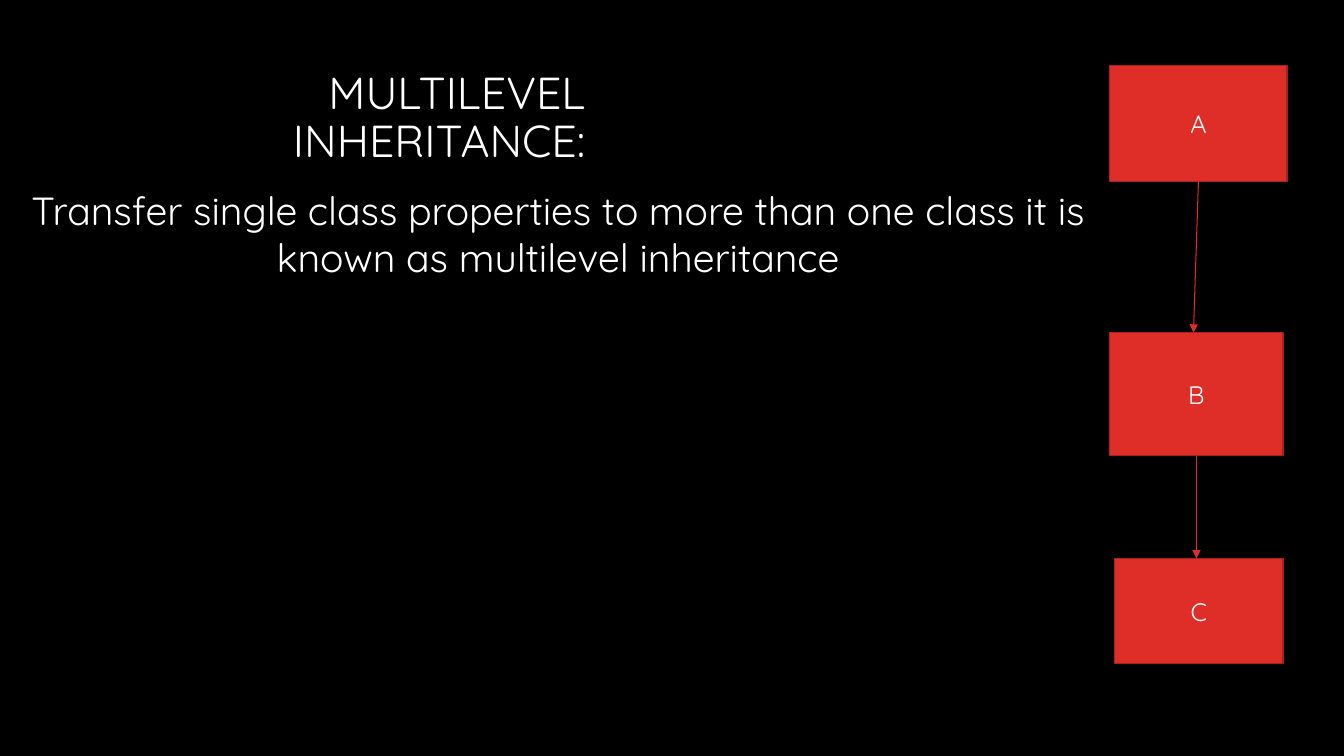
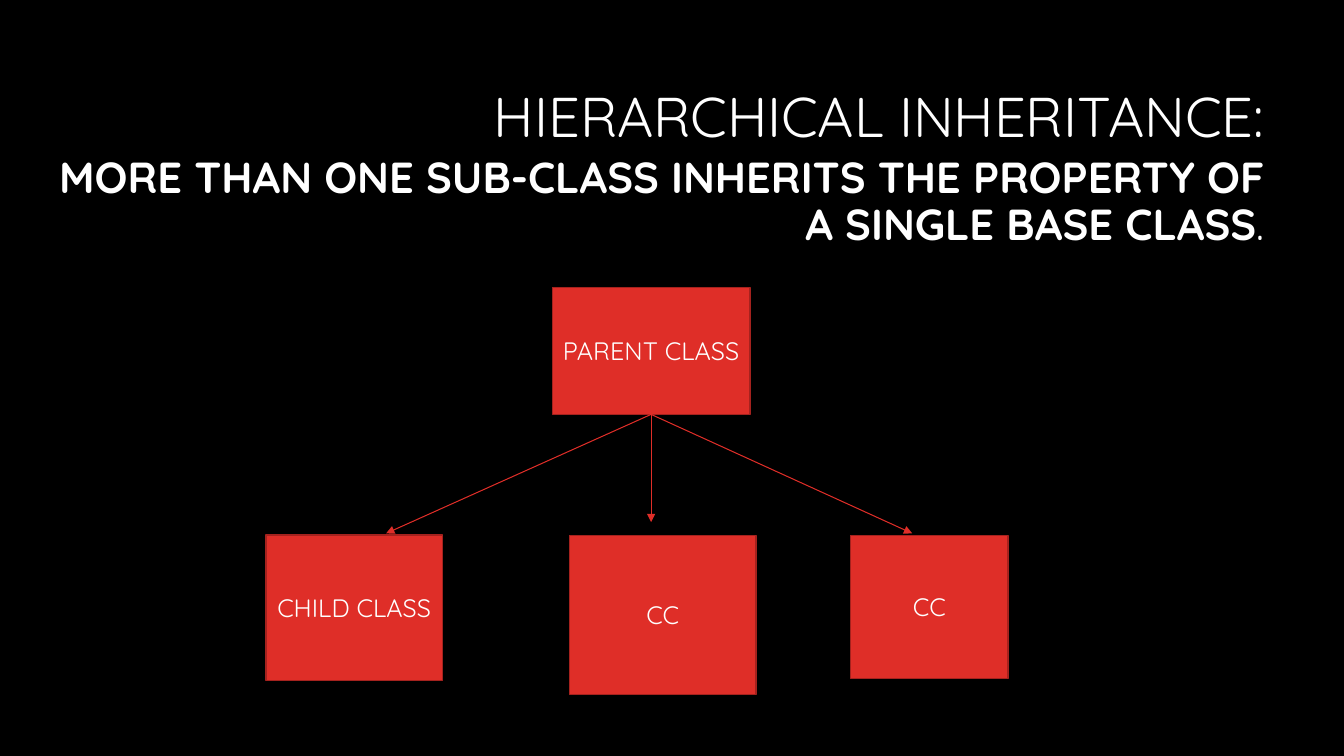
"""Build two slides on multilevel and hierarchical inheritance."""
from dataclasses import dataclass

from lxml.etree import SubElement
from pptx import Presentation
from pptx.dml.color import RGBColor
from pptx.enum.shapes import MSO_CONNECTOR, MSO_SHAPE
from pptx.enum.text import MSO_ANCHOR, PP_ALIGN
from pptx.oxml.ns import qn
from pptx.util import Pt


@dataclass(frozen=True)
class Theme:
    font: str = "Quicksand"
    background: RGBColor = RGBColor(0x00, 0x00, 0x00)
    text: RGBColor = RGBColor(0xFF, 0xFF, 0xFF)
    accent: RGBColor = RGBColor(0xDF, 0x2E, 0x28)
    outline: RGBColor = RGBColor(0xA5, 0x22, 0x1E)
    heading: int = 40
    title: int = 32
    subtitle: int = 31
    body: int = 28
    label: int = 18
    title_spacing: float = 0.9


theme = Theme()


def write(sp, paragraphs, align, anchor=MSO_ANCHOR.MIDDLE, spacing=None, gap=0):
    """Fill a shape with paragraphs, each a list of (text, size, bold) runs."""
    tf = sp.text_frame
    tf.word_wrap = True
    tf.vertical_anchor = anchor
    for i, runs in enumerate(paragraphs):
        p = tf.add_paragraph() if i else tf.paragraphs[0]
        p.alignment = align
        p.line_spacing = spacing
        p.space_before = Pt(gap if i else 0)
        for text, size, bold in runs:
            r = p.add_run()
            r.text = text
            r.font.name = theme.font
            r.font.size = Pt(size)
            r.font.bold = bold
            r.font.color.rgb = theme.text


def draw_classes(s, boxes, arrows):
    """Draw the class boxes, then arrows from a box's bottom to a point."""
    shapes = []
    for label, *frame in boxes:
        sp = s.shapes.add_shape(MSO_SHAPE.RECTANGLE, *map(Pt, frame))
        sp.shadow.inherit = False
        sp.fill.solid()
        sp.fill.fore_color.rgb = theme.accent
        sp.line.color.rgb = theme.outline
        sp.line.width = Pt(1)
        write(sp, [[(label, theme.label, False)]], PP_ALIGN.CENTER)
        shapes.append(sp)
    for source, x, y in arrows:
        line = s.shapes.add_connector(MSO_CONNECTOR.STRAIGHT, 0, 0, Pt(x), Pt(y))
        line.begin_connect(shapes[source], 2)
        line.line.color.rgb = theme.accent
        line.line.width = Pt(0.75)
        SubElement(line.line._get_or_add_ln(), qn("a:tailEnd"), type="triangle")
        SubElement(line._element.spPr, qn("a:effectLst"))


prs = Presentation()
prs.slide_width, prs.slide_height = Pt(960), Pt(540)
fill = prs.slide_master.background.fill
fill.solid()
fill.fore_color.rgb = theme.background
blank = prs.slide_layouts[6]

s = prs.slides.add_slide(blank)
title = s.shapes.add_textbox(Pt(10.8), Pt(59), Pt(414.5), Pt(52))
write(title, [[("MULTILEVEL INHERITANCE:", theme.title, False)]],
      PP_ALIGN.RIGHT, spacing=theme.title_spacing)
draw_classes(
    s,
    [("A", 792.7, 46.8, 126.7, 82.8),
     ("B", 792.7, 237.6, 123.8, 88),
     ("C", 796.3, 399, 120.2, 75)],
    [(0, 852.5, 237.6), (1, 854.6, 399)],
)
body = s.shapes.add_textbox(Pt(10.8), Pt(129.6), Pt(775.5), Pt(75))
write(body, [[("Transfer single class properties to more than one class "
               "it is known as multilevel inheritance", theme.body, False)]],
      PP_ALIGN.CENTER, MSO_ANCHOR.TOP)

s = prs.slides.add_slide(blank)
title = s.shapes.add_textbox(Pt(10), Pt(54), Pt(900), Pt(134))
write(title,
      [[("HIERARCHICAL INHERITANCE:", theme.heading, False)],
       [("MORE THAN ONE SUB-CLASS INHERITS THE PROPERTY OF A SINGLE BASE CLASS",
         theme.subtitle, True),
        (".", theme.subtitle, False)]],
      PP_ALIGN.RIGHT, spacing=theme.title_spacing, gap=5)
child_top = 382.3
draw_classes(
    s,
    [("PARENT CLASS", 394.5, 205.2, 141.2, 90.8),
     ("CHILD CLASS", 190, child_top, 126, 103.8),
     ("CC", 406.8, child_top, 133.2, 113.8),
     ("CC", 607.7, child_top, 112.3, 102.2)],
    [(0, 275.8, 381), (0, 465.1, 373), (0, 651.6, 381)],
)

prs.save("out.pptx")
